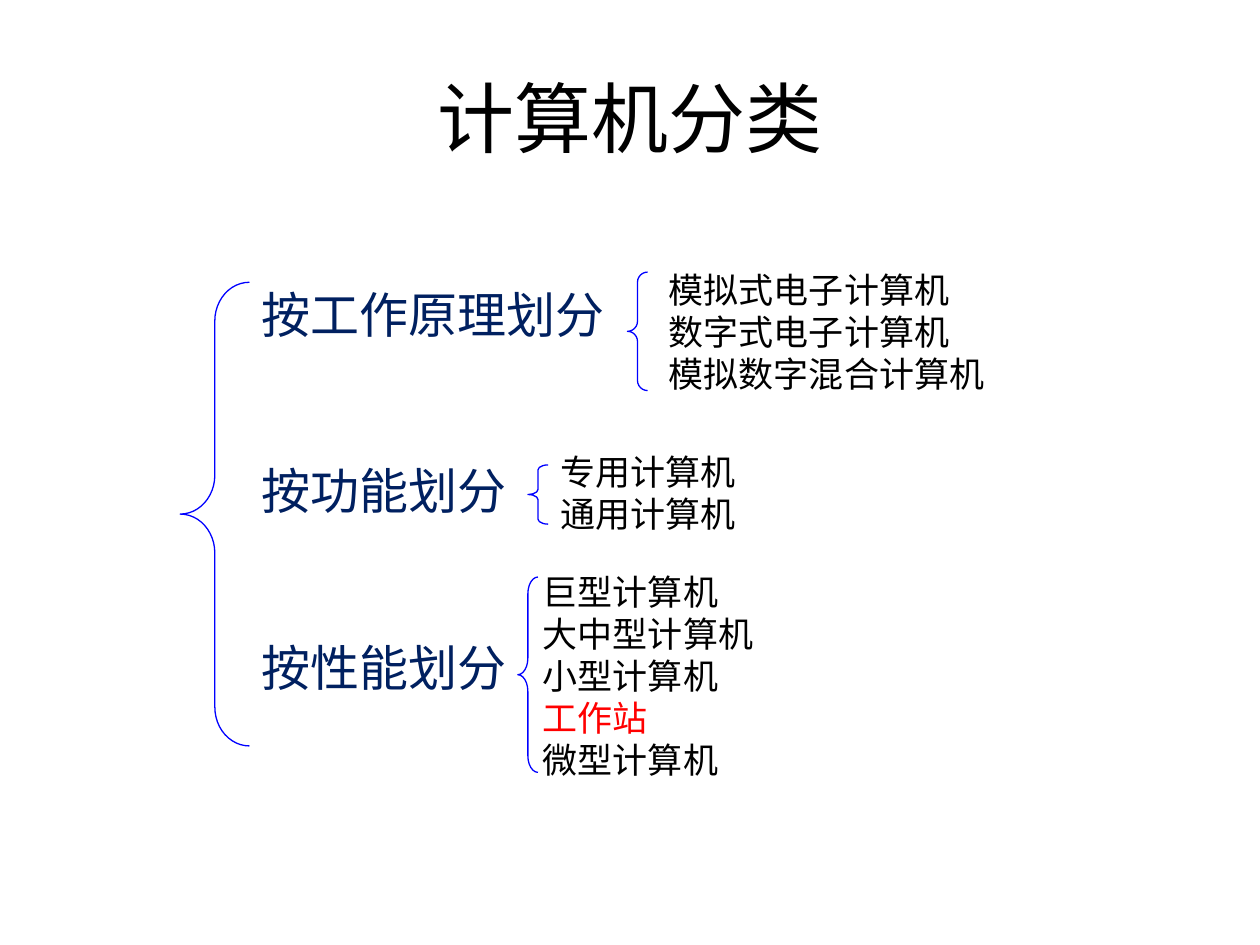
import pptx
import pptx.util
import pptx.dml.color
import pptx.enum.shapes
import pptx.enum.text
import lxml.etree

Inches = pptx.util.Inches
Pt = pptx.util.Pt

BLACK, NAVY, BLUE, RED = "000000", "002060", "0000FF", "FF0000"
TITLE_FONT, BODY_FONT = "Noto Sans CJK SC", "Noto Sans CJK JP"
LINE_RATIO = 1.2
DETAIL_SIZE, CATEGORY_SIZE = 20, 28

TITLE = "计算机分类"
CATEGORIES = ["按工作原理划分", "按功能划分", "按性能划分"]
DETAILS = [
    ((5.21, 2.08, 3.46, 1.1), ["模拟式电子计算机", "数字式电子计算机", "模拟数字混合计算机"]),
    ((4.35, 3.53, 2.99, 0.77), ["专用计算机", "通用计算机"]),
    ((4.21, 4.48, 2.99, 1.77), ["巨型计算机", "大中型计算机", "小型计算机", "工作站", "微型计算机"]),
]
HIGHLIGHTS = {"工作站": RED}
BRACES = [
    ((1.43, 2.24, 0.55, 3.68), 0.56),
    ((4.98, 2.16, 0.16, 0.94), 0.5),
    ((4.19, 3.69, 0.16, 0.47), 0.25),
    ((4.11, 4.58, 0.16, 1.55), 0.83),
]


def color(value):
    return pptx.dml.color.RGBColor.from_string(value)


def add_text(slide, box, lines, size, font_name, text_color, gap=0, centered=False):
    shape = slide.shapes.add_textbox(*map(Inches, box))
    frame = shape.text_frame
    frame.word_wrap = True
    if centered:
        frame.vertical_anchor = pptx.enum.text.MSO_ANCHOR.MIDDLE
    for index, line in enumerate(lines):
        paragraph = frame.add_paragraph() if index else frame.paragraphs[0]
        paragraph.line_spacing = Pt(size * LINE_RATIO)
        paragraph.space_before = Pt(gap if index else 0)
        if centered:
            paragraph.alignment = pptx.enum.text.PP_ALIGN.CENTER
        run = paragraph.add_run()
        run.text = line
        run.font.size = Pt(size)
        run.font.color.rgb = color(HIGHLIGHTS.get(line, text_color))
        run.font.name = font_name
        properties = run.font._element
        east_asian = lxml.etree.SubElement(properties, pptx.oxml.ns.qn("a:ea"))
        east_asian.set("typeface", font_name)


def add_brace(slide, box, curve):
    shape = slide.shapes.add_shape(
        pptx.enum.shapes.MSO_SHAPE.LEFT_BRACE, *map(Inches, box))
    shape.adjustments[0] = curve
    shape.adjustments[1] = 0.5
    shape.shadow.inherit = False
    shape.fill.background()
    shape.line.color.rgb = color(BLUE)
    shape.line.width = Pt(0.75)


presentation = pptx.Presentation()
presentation.slide_width = Inches(10)
presentation.slide_height = Inches(7.5)
slide = presentation.slides.add_slide(presentation.slide_layouts[6])

add_text(slide, (0.5, 0.3, 9, 1.25), [TITLE], 44, TITLE_FONT, BLACK, centered=True)
add_text(slide, (1.98, 2.21, 3.07, 3.4), CATEGORIES, CATEGORY_SIZE, BODY_FONT, NAVY,
         gap=2 * CATEGORY_SIZE * LINE_RATIO)
for box, lines in DETAILS:
    add_text(slide, box, lines, DETAIL_SIZE, BODY_FONT, BLACK)
for box, curve in BRACES:
    add_brace(slide, box, curve)

presentation.save("out.pptx")
